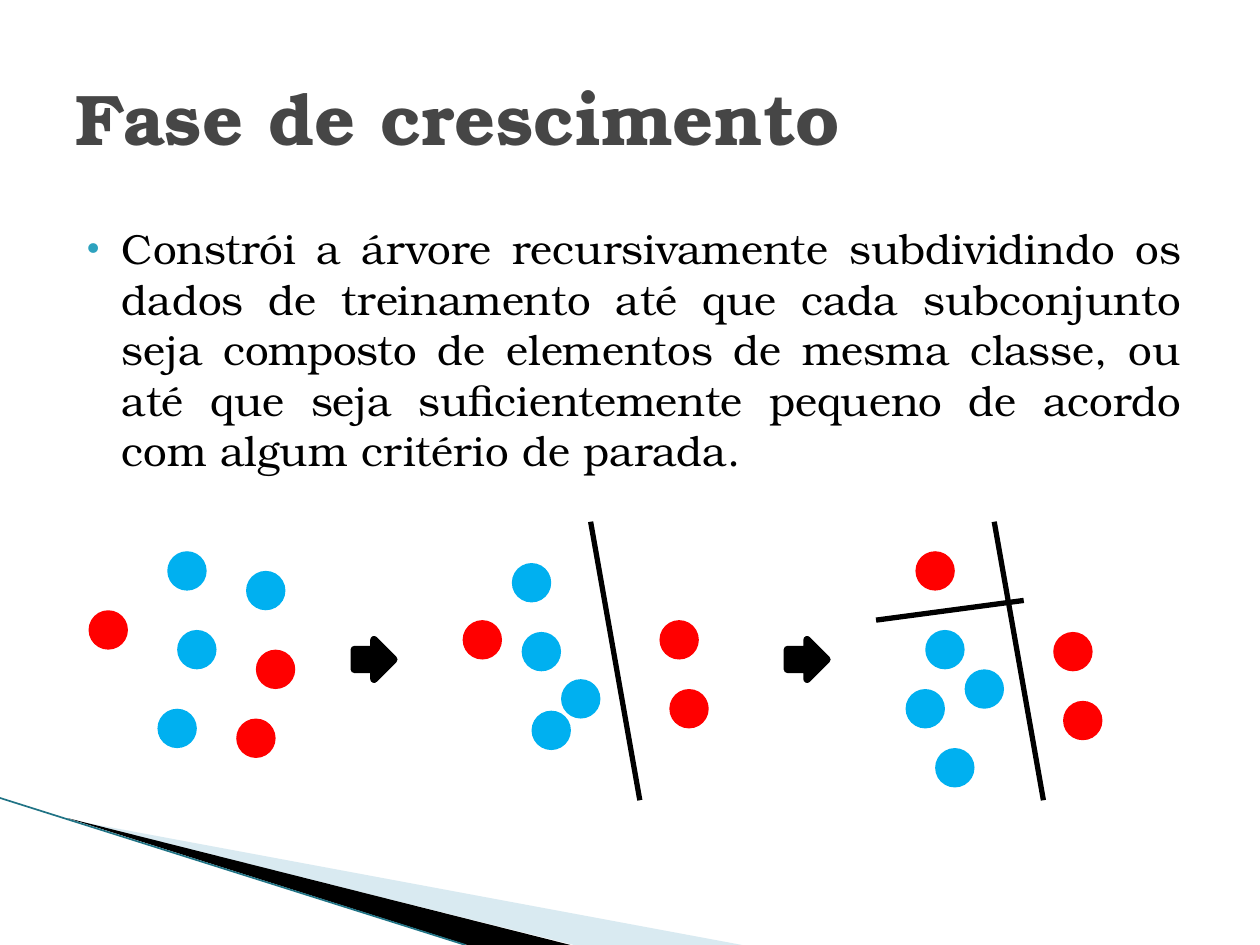
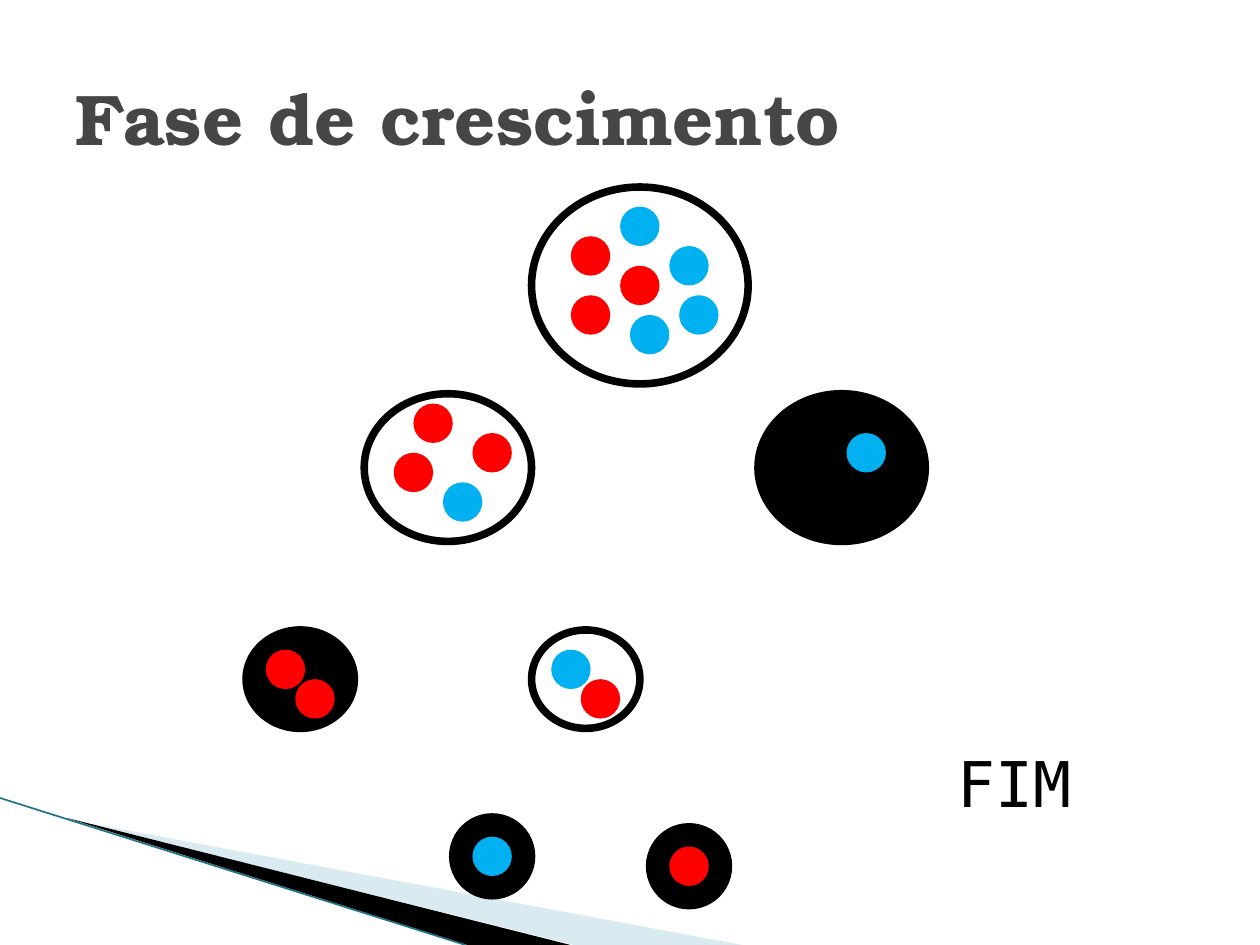
from dataclasses import dataclass

from lxml import etree
from pptx import Presentation
from pptx.dml.color import RGBColor
from pptx.enum.shapes import MSO_CONNECTOR, MSO_SHAPE
from pptx.enum.text import MSO_ANCHOR, MSO_AUTO_SIZE, PP_ALIGN
from pptx.oxml.ns import qn
from pptx.util import Pt

OVAL, ARROW = MSO_SHAPE.OVAL, MSO_SHAPE.RIGHT_ARROW
STRAIGHT = MSO_CONNECTOR.STRAIGHT
LEFT, JUSTIFY = PP_ALIGN.LEFT, PP_ALIGN.JUSTIFY
TOP, MIDDLE = MSO_ANCHOR.TOP, MSO_ANCHOR.MIDDLE


@dataclass(frozen=True)
class Theme:
    serif: str = "TeX Gyre Bonum"
    mono: str = "DejaVu Sans Mono"
    title_size: float = 41
    body_size: float = 24
    end_size: float = 36
    ink: str = "000000"
    title: str = "464646"
    bullet: str = "2DA2BF"
    wedge: str = "A0CBDC"
    edge: str = "207385"
    red: str = "FF0000"
    blue: str = "00B0F0"
    outline: float = 4.33
    split: float = 3
    edge_width: float = 0.95


THEME = Theme()
RED, BLUE = THEME.red, THEME.blue

# Diagram positions count grid steps of 45/8 points; a dot is four steps wide.
STEP = 45 / 8
DOT = 4

TITLE = "Fase de crescimento"
GROWTH = (
    "Constrói a árvore recursivamente subdividindo os dados de treinamento "
    "até que cada subconjunto seja composto de elementos de mesma classe, ou "
    "até que seja suficientemente pequeno de acordo com algum critério de parada."
)
END = "FIM"

# Each stage: dots by class, then the lines that split them.
STAGES = [
    {"dots": {RED: [(26, 66), (9, 62), (24, 73)],
              BLUE: [(16, 72), (18, 64), (17, 56), (25, 58)]},
     "splits": []},
    {"dots": {RED: [(47, 63), (67, 63), (68, 70)],
              BLUE: [(54, 72.2), (53, 64.2), (52, 57.2), (57, 69)]},
     "splits": [(65, 81.3, 60, 53)]},
    {"dots": {RED: [(107, 64.2), (93, 56), (108, 71.2)],
              BLUE: [(95, 76), (98, 68), (94, 64), (92, 70)]},
     "splits": [(106, 81.3, 101, 53), (104, 61, 89, 63)]},
]
STAGE_ARROWS = [(36, 65), (80, 65)]

# Each tree node: its box, whether it is a pure leaf, and its dots by class.
NODES = [
    ((54, 19, 22, 20), False, {RED: [(58, 24), (63, 27), (58, 30)],
                               BLUE: [(63, 21), (68, 25), (64, 32), (69, 30)]}),
    ((37, 40, 17, 15), False, {RED: [(42, 41), (40, 46), (48, 44)],
                               BLUE: [(45, 49)]}),
    ((77, 40, 17, 15), True, {BLUE: [(86, 44)]}),
    ((25, 64, 11, 10), True, {RED: [(27, 66), (30, 69)]}),
    ((54, 64, 11, 10), False, {BLUE: [(56, 66)], RED: [(59, 69)]}),
    ((46, 83, 8, 8), True, {BLUE: [(48, 85)]}),
    ((66, 84, 8, 8), True, {RED: [(68, 86)]}),
]

# Corner band: outline in points, colour, opacity in percent.
WEDGES = [
    ([(39.6, 468.4), (424, 540), (328, 540)], THEME.wedge, 40),
    ([(38.5, 467.5), (326, 540), (267, 540)], THEME.ink, 100),
]
EDGE = (0, 456, 266, 540)


def points(values):
    return [Pt(value) for value in values]


def steps(values):
    return points(value * STEP for value in values)


def paint(shape, fill=None, line=None, width=0):
    shape.shadow.inherit = False
    if fill:
        shape.fill.solid()
        shape.fill.fore_color.rgb = RGBColor.from_string(fill)
    else:
        shape.fill.background()
    if line:
        shape.line.color.rgb = RGBColor.from_string(line)
        shape.line.width = Pt(width)
    else:
        shape.line.fill.background()


def add_line(shapes, ends, color, width):
    line = shapes.add_connector(STRAIGHT, *ends)
    line.line.color.rgb = RGBColor.from_string(color)
    line.line.width = Pt(width)
    etree.SubElement(line._element.spPr, qn("a:effectLst"))


def add_dots(shapes, dots):
    for color, spots in dots.items():
        for x, y in spots:
            paint(shapes.add_shape(OVAL, *steps((x, y, DOT, DOT))), color)


def write(shape, text, box, font, align=LEFT, anchor=TOP):
    shape.left, shape.top, shape.width, shape.height = points(box)
    frame = shape.text_frame
    frame.text = text
    frame.word_wrap = True
    frame.auto_size = MSO_AUTO_SIZE.NONE
    frame.vertical_anchor = anchor
    paragraph = frame.paragraphs[0]
    paragraph.alignment = align
    run_font = paragraph.runs[0].font
    run_font.color.rgb = RGBColor.from_string(font["color"])
    for name in ("name", "size", "bold"):
        setattr(run_font, name, font[name])
    return paragraph


def font(name, size, color, bold=False):
    return {"name": name, "size": Pt(size), "color": color, "bold": bold}


def add_bullet(paragraph):
    props = paragraph._p.get_or_add_pPr()
    props.set("marL", str(Pt(28.8)))
    props.set("indent", str(-Pt(20.16)))
    color = etree.SubElement(props, qn("a:buClr"))
    etree.SubElement(color, qn("a:srgbClr"), val=THEME.bullet)
    etree.SubElement(props, qn("a:buSzPct"), val="68000")
    etree.SubElement(props, qn("a:buFont"), typeface=THEME.serif)
    etree.SubElement(props, qn("a:buChar"), char="•")


def add_corner_band(shapes):
    for outline, color, opacity in WEDGES:
        start, *rest = [points(corner) for corner in outline]
        builder = shapes.build_freeform(*start)
        builder.add_line_segments(rest, close=True)
        wedge = builder.convert_to_shape()
        paint(wedge, color)
        if opacity < 100:
            tone = wedge._element.spPr.find(".//" + qn("a:srgbClr"))
            etree.SubElement(tone, qn("a:alpha"), val=str(opacity * 1000))
    add_line(shapes, points(EDGE), THEME.edge, THEME.edge_width)


def add_titled_slide(deck):
    slide = deck.slides.add_slide(deck.slide_layouts[5])
    add_corner_band(slide.shapes)
    write(slide.shapes.title, TITLE, (36, 21.6, 648, 90),
          font(THEME.serif, THEME.title_size, THEME.title, True), anchor=MIDDLE)
    return slide.shapes


def add_text(shapes, text, box, *style):
    return write(shapes.add_textbox(*points(box)), text, box, *style)


def build_stages_slide(deck):
    shapes = add_titled_slide(deck)
    growth = add_text(shapes, GROWTH, (33.84, 123.84, 648, 166.3),
                      font(THEME.serif, THEME.body_size, THEME.ink), JUSTIFY)
    add_bullet(growth)
    for stage in STAGES:
        group = shapes.add_group_shape().shapes
        add_dots(group, stage["dots"])
        for split in stage["splits"]:
            add_line(group, steps(split), THEME.ink, THEME.split)
    for x, y in STAGE_ARROWS:
        arrow = shapes.add_shape(ARROW, *steps((x, y, DOT, DOT)))
        paint(arrow, THEME.ink, THEME.ink, THEME.outline)


def build_tree_slide(deck):
    shapes = add_titled_slide(deck)
    for box, is_leaf, dots in NODES:
        node = shapes.add_shape(OVAL, *steps(box))
        paint(node, THEME.ink if is_leaf else None, THEME.ink, THEME.outline)
        add_dots(shapes, dots)
    add_text(shapes, END, (540, 421.9, 90, 51),
             font(THEME.mono, THEME.end_size, THEME.ink))


def main():
    deck = Presentation()
    deck.slide_width, deck.slide_height = Pt(720), Pt(540)
    build_stages_slide(deck)
    build_tree_slide(deck)
    deck.save("out.pptx")


if __name__ == "__main__":
    main()
